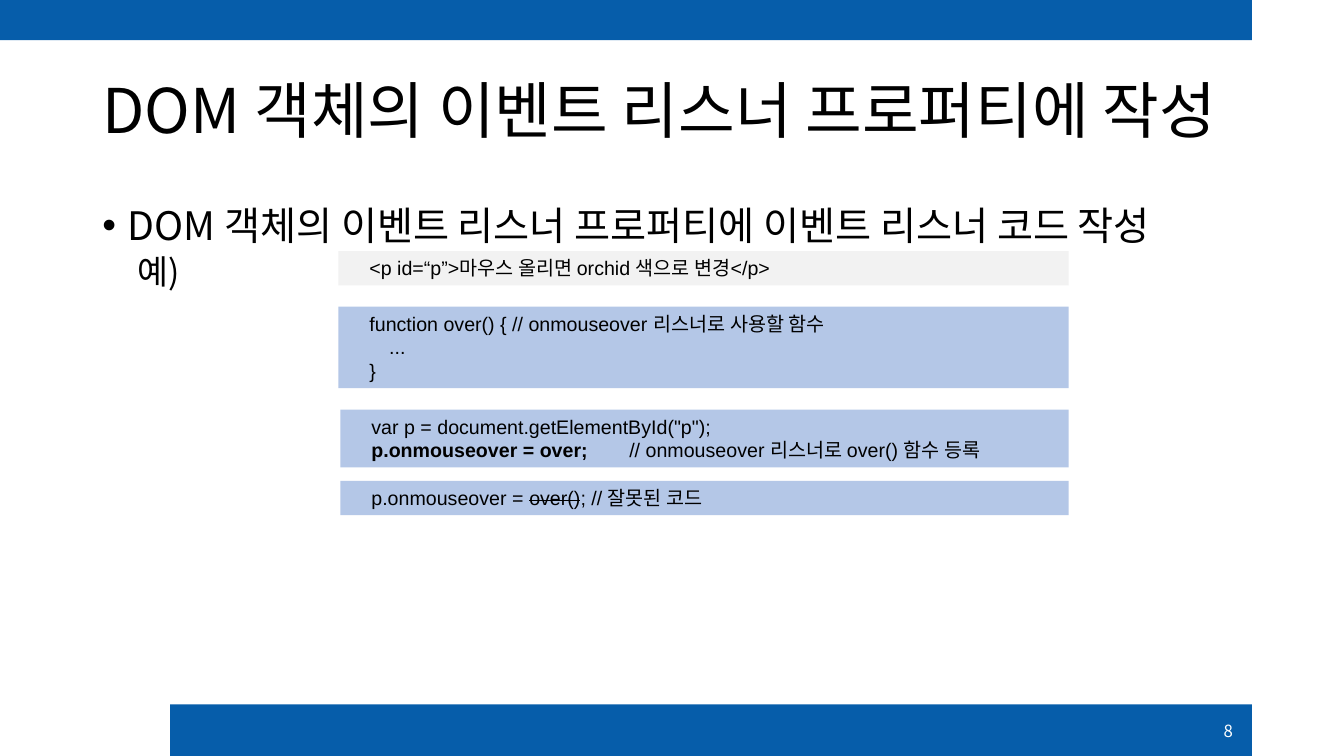
from lxml import etree
from pptx import Presentation
from pptx.dml.color import RGBColor
from pptx.enum.shapes import MSO_SHAPE
from pptx.enum.text import MSO_ANCHOR, PP_ALIGN
from pptx.oxml.ns import qn
from pptx.util import Cm, Pt

BAND_BLUE = RGBColor(0x06, 0x5D, 0xAA)
CODE_BLUE = RGBColor(0xB4, 0xC7, 0xE7)
MARKUP_GREY = RGBColor(0xF2, 0xF2, 0xF2)
BLACK = RGBColor(0, 0, 0)
WHITE = RGBColor(0xFF, 0xFF, 0xFF)
KOREAN_FONT = "Noto Sans CJK KR"
CODE_FONT = "Arial"

PLAIN, BOLD, STRIKE = "plain", "bold", "strike"

# Left, top, width, height in cm; fill; lines made of (text, style) spans
CODE_BLOCKS = [
    ((8.53, 6.33, 18.4, 0.86), MARKUP_GREY, [
        [("<p id=“p”>마우스 올리면 orchid 색으로 변경</p>", PLAIN)],
    ]),
    ((8.53, 7.73, 18.4, 2.05), CODE_BLUE, [
        [("function over() { // onmouseover 리스너로 사용할 함수", PLAIN)],
        [("\t...", PLAIN)],
        [("}", PLAIN)],
    ]),
    ((8.58, 10.32, 18.35, 1.46), CODE_BLUE, [
        [('var p = document.getElementById("p");', PLAIN)],
        [("p.onmouseover = over; ", BOLD),
         ("\t\t// onmouseover 리스너로 over() 함수 등록", PLAIN)],
    ]),
    ((8.58, 12.12, 18.35, 0.86), CODE_BLUE, [
        [("p.onmouseover = ", PLAIN), ("over()", STRIKE),
         ("; // 잘못된 코드", PLAIN)],
    ]),
]


def style_span(span, size, color=BLACK, font=KOREAN_FONT):
    span.font.size = Pt(size)
    span.font.color.rgb = color
    span.font.name = font
    east_asian = etree.SubElement(span._r.get_or_add_rPr(), qn("a:ea"))
    east_asian.set("typeface", KOREAN_FONT)


def set_indent(para, margin, first_line=0):
    properties = para._p.get_or_add_pPr()
    properties.set("marL", str(Cm(margin)))
    properties.set("indent", str(Cm(first_line)))
    return properties


def add_rectangle(page, box, fill):
    shape = page.shapes.add_shape(MSO_SHAPE.RECTANGLE, *map(Cm, box))
    shape.shadow.inherit = False
    shape.fill.solid()
    shape.fill.fore_color.rgb = fill
    shape.line.fill.background()
    return shape


def add_text(page, box, lines, color=BLACK, anchor=MSO_ANCHOR.TOP):
    """Add a text box with one paragraph per (text, size) and return them."""
    frame = page.shapes.add_textbox(*map(Cm, box)).text_frame
    frame.word_wrap = True
    frame.vertical_anchor = anchor
    frame.text = "\n".join(text for text, _ in lines)
    for para, (_, size) in zip(frame.paragraphs, lines):
        style_span(para.runs[0], size, color)
    return frame.paragraphs


def add_title(page, box):
    title, = add_text(page, box, [("DOM 객체의 이벤트 리스너 프로퍼티에 작성", 44)],
                      anchor=MSO_ANCHOR.MIDDLE)
    title.line_spacing = 0.9


def add_body(page, box):
    topic, example = add_text(page, box, [
        ("DOM 객체의 이벤트 리스너 프로퍼티에 이벤트 리스너 코드 작성", 28),
        ("예)", 24),
    ])
    for para, space in ((topic, 10), (example, 5)):
        para.line_spacing = 0.9
        para.space_before = Pt(space)
    properties = set_indent(topic, 0.64, -0.64)
    etree.SubElement(properties, qn("a:buFont")).set("typeface", "Arial")
    etree.SubElement(properties, qn("a:buChar")).set("char", "•")
    example.level = 1
    set_indent(example, 0.89)


def add_code_block(page, box, fill, lines):
    frame = add_rectangle(page, box, fill).text_frame
    frame.word_wrap = True
    frame.vertical_anchor = MSO_ANCHOR.TOP
    for number, line in enumerate(lines):
        para = frame.add_paragraph() if number else frame.paragraphs[0]
        para.alignment = PP_ALIGN.LEFT
        set_indent(para, 0.53).set("defTabSz", str(Cm(0.5)))
        for text, style in line:
            span = para.add_run()
            span.text = text
            style_span(span, 14, font=CODE_FONT)
            span.font.bold = style == BOLD
            if style == STRIKE:
                span._r.get_or_add_rPr().set("strike", "sngStrike")


def add_footer(page, box):
    left, top, width, height = box
    add_rectangle(page, box, BAND_BLUE)
    number_box = (left + width - 1.78, top + 0.16, 1.55, 1.01)
    number, = add_text(page, number_box, [("8", 12)], WHITE, MSO_ANCHOR.MIDDLE)
    number.alignment = PP_ALIGN.RIGHT


def main():
    deck = Presentation()
    deck.slide_width, deck.slide_height = Cm(33.87), Cm(19.05)
    page = deck.slides.add_slide(deck.slide_layouts[6])
    add_rectangle(page, (0, 0, 31.55, 1.01), BAND_BLUE)
    add_footer(page, (4.29, 17.75, 27.26, 1.3))
    add_title(page, (2.33, 1.01, 29.21, 3.68))
    add_body(page, (2.33, 5.07, 29.21, 12.09))
    for box, fill, lines in CODE_BLOCKS:
        add_code_block(page, box, fill, lines)
    deck.save("out.pptx")


if __name__ == "__main__":
    main()
